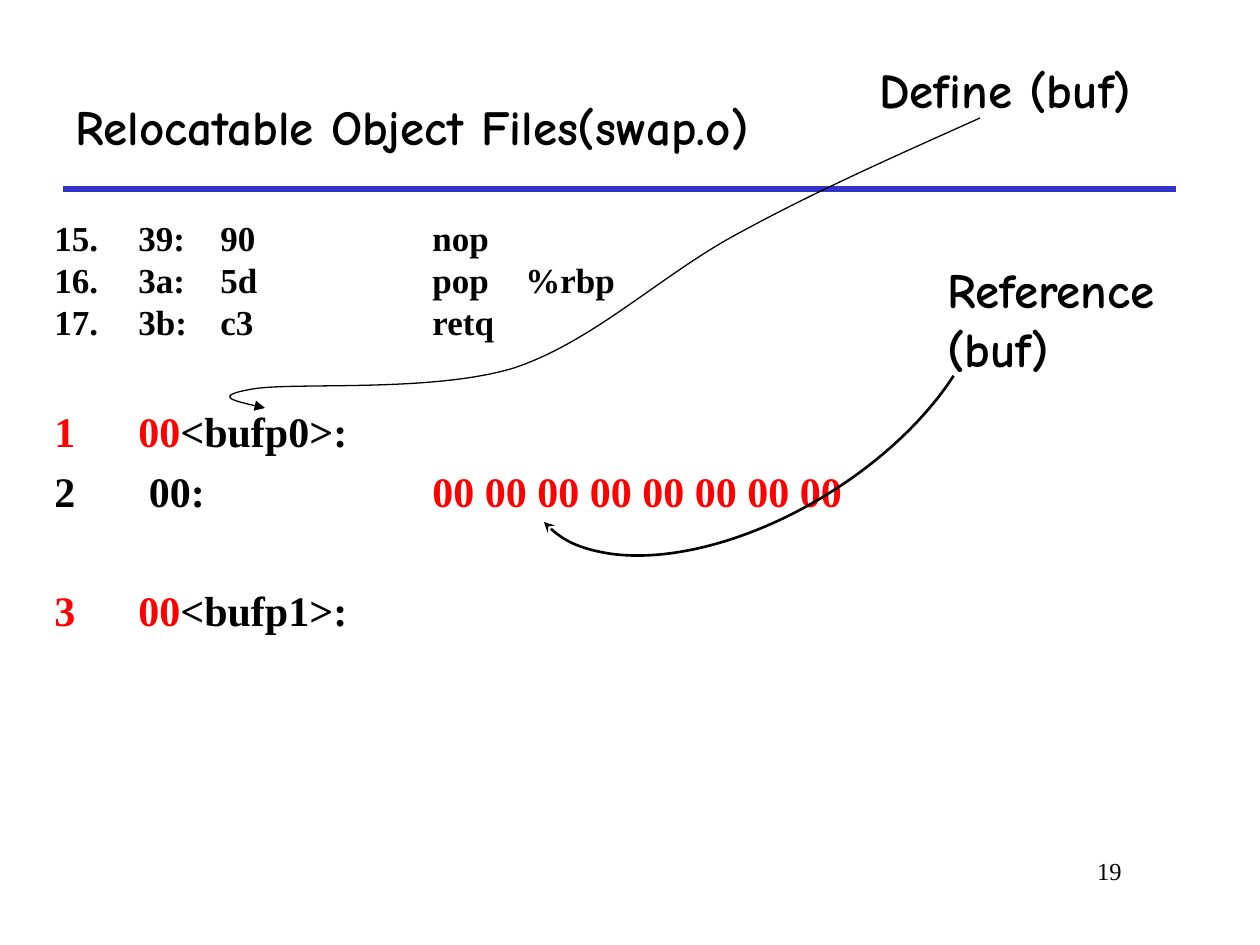
from lxml import etree
from pptx import Presentation
from pptx.dml.color import RGBColor
from pptx.enum.shapes import MSO_CONNECTOR, MSO_SHAPE
from pptx.enum.text import MSO_ANCHOR, PP_ALIGN
from pptx.oxml.ns import qn
from pptx.util import Emu, Pt

BLACK = RGBColor(0x00, 0x00, 0x00)
RED = RGBColor(0xFF, 0x00, 0x00)
BLUE = RGBColor(0x33, 0x33, 0xCC)
SERIF, COMIC = "Times New Roman", "Comic Neue"
STRAIGHT, ARC = MSO_CONNECTOR.STRAIGHT, MSO_SHAPE.ARC
TOP, MIDDLE = MSO_ANCHOR.TOP, MSO_ANCHOR.MIDDLE
LEFT, RIGHT = PP_ALIGN.LEFT, PP_ALIGN.RIGHT
PX_PER_INCH = 126


def px(n):
    return Emu(round(n * 914400 / PX_PER_INCH))


def add_run(p, text, font=SERIF, size=24, color=BLACK, bold=True):
    r = p.add_run()
    r.text = text
    r.font.name, r.font.size, r.font.bold = font, Pt(size), bold
    r.font.color.rgb = color


class SlideBuilder:
    hang = 84  # px from list number to list text

    def __init__(self, slide):
        self.shapes = slide.shapes

    def rule(self, x1, x2, y, color, width):
        line = self.shapes.add_connector(STRAIGHT, px(x1), px(y), px(x2), px(y))
        self.outline(line, color, width)

    def outline(self, sp, color, width, arrow=None):
        sp.line.color.rgb, sp.line.width = color, Pt(width)
        if arrow:
            etree.SubElement(sp.line._get_or_add_ln(), qn("a:tailEnd"), type=arrow)
        if hasattr(sp, "shadow"):
            sp.shadow.inherit = False
        else:
            etree.SubElement(sp._element.spPr, qn("a:effectLst"))

    def box(self, x, y, w, h, anchor=TOP, wrap=True):
        tf = self.shapes.add_textbox(px(x), px(y), px(w), px(h)).text_frame
        tf.word_wrap, tf.vertical_anchor = wrap, anchor
        return tf

    def text(self, x, y, w, h, lines, align=LEFT, anchor=TOP, wrap=True, **fmt):
        tf = self.box(x, y, w, h, anchor, wrap)
        for i, line in enumerate(lines):
            p = tf.add_paragraph() if i else tf.paragraphs[0]
            p.alignment = align
            add_run(p, line, **fmt)

    def number(self, p, scheme, start, tabs):
        pPr = p._p.get_or_add_pPr()
        pPr.set("marL", str(px(self.hang)))
        pPr.set("indent", str(-px(self.hang)))
        etree.SubElement(pPr, qn("a:buFont"), typeface=SERIF)
        etree.SubElement(pPr, qn("a:buAutoNum"), type=scheme, startAt=str(start))
        stops = etree.SubElement(pPr, qn("a:tabLst"))
        for pos in tabs:
            etree.SubElement(stops, qn("a:tab"), pos=str(px(pos)), algn="l")

    def arc(self, x, y, w, h, rotation, angles, width, arrow):
        sp = self.shapes.add_shape(ARC, px(x), px(y), px(w), px(h))
        sp.rotation = rotation
        sp.adjustments[0], sp.adjustments[1] = angles
        sp.fill.background()
        self.outline(sp, BLACK, width, arrow)

    def curve(self, x, y, w, h, start, beziers, width, arrow):
        # The builder sets the frame; the path then becomes cubic curves
        fb = self.shapes.build_freeform(px(x), px(y))
        fb.add_line_segments([(px(x + w), px(y + h))], close=False)
        sp = fb.convert_to_shape()
        path = sp._element.find(".//" + qn("a:path"))
        for child in list(path):
            path.remove(child)
        for tag, points in [("a:moveTo", [start])] + [("a:cubicBezTo", b) for b in beziers]:
            step = etree.SubElement(path, qn(tag))
            for cx, cy in points:
                etree.SubElement(step, qn("a:pt"), x=str(px(cx - x)), y=str(px(cy - y)))
        sp.fill.background()
        self.outline(sp, BLACK, width, arrow)


def main():
    prs = Presentation()
    prs.slide_width, prs.slide_height = px(1260), px(945)
    s = SlideBuilder(prs.slides.add_slide(prs.slide_layouts[6]))

    # Title, rule and page number
    s.rule(63, 1176, 189, BLUE, 3)
    s.text(955, 850, 179, 63, ["19"], align=RIGHT, size=14, bold=False)
    s.text(63, 63, 1113, 126, ["Relocatable Object Files(swap.o)"],
           anchor=MIDDLE, font=COMIC, size=28)

    # Disassembly, then the data section
    tf = s.box(42, 210, 1197, 651)
    code = ["39:\t90\tnop", "3a:\t5d\tpop\t%rbp", "3b:\tc3\tretq"]
    data = [
        (36, [("00", RED), ("<bufp0>:", BLACK)]),
        (5.5, [(" 00:\t", BLACK), ("00 00 00 00 00 00 00 00", RED)]),
        (39.5, [("00", RED), ("<bufp1>:", BLACK)]),
    ]
    for i, line in enumerate(code):
        p = tf.add_paragraph() if i else tf.paragraphs[0]
        s.number(p, "arabicPeriod", 15, (166, 378, 471))
        p.line_spacing = Pt(24)
        add_run(p, line, size=20)
    for gap, runs in data:
        p = tf.add_paragraph()
        s.number(p, "arabicPlain", 1, (378,))
        p.space_before = Pt(gap)
        for text, color in runs:
            add_run(p, text, color=color)

    # Reference to buf
    s.text(935, 253, 267, 131, ["Reference", "(buf)"], wrap=False, font=COMIC, size=28)
    s.arc(498, 239, 513, 276, 148.4, (126.74, 214.24), 1.5, "stealth")

    # Definition of buf
    s.text(867, 53, 340, 72, ["Define (buf)"], wrap=False, font=COMIC, size=28)
    s.curve(232, 118, 748, 290, (980, 118), [
        [(898, 155), (818, 190), (741, 232)],
        [(663, 273), (595, 341), (514, 368)],
        [(432, 393), (295, 382), (253, 389)],
        [(212, 396), (238, 402), (265, 408)],
    ], 0.75, "triangle")

    prs.save("out.pptx")


if __name__ == "__main__":
    main()
